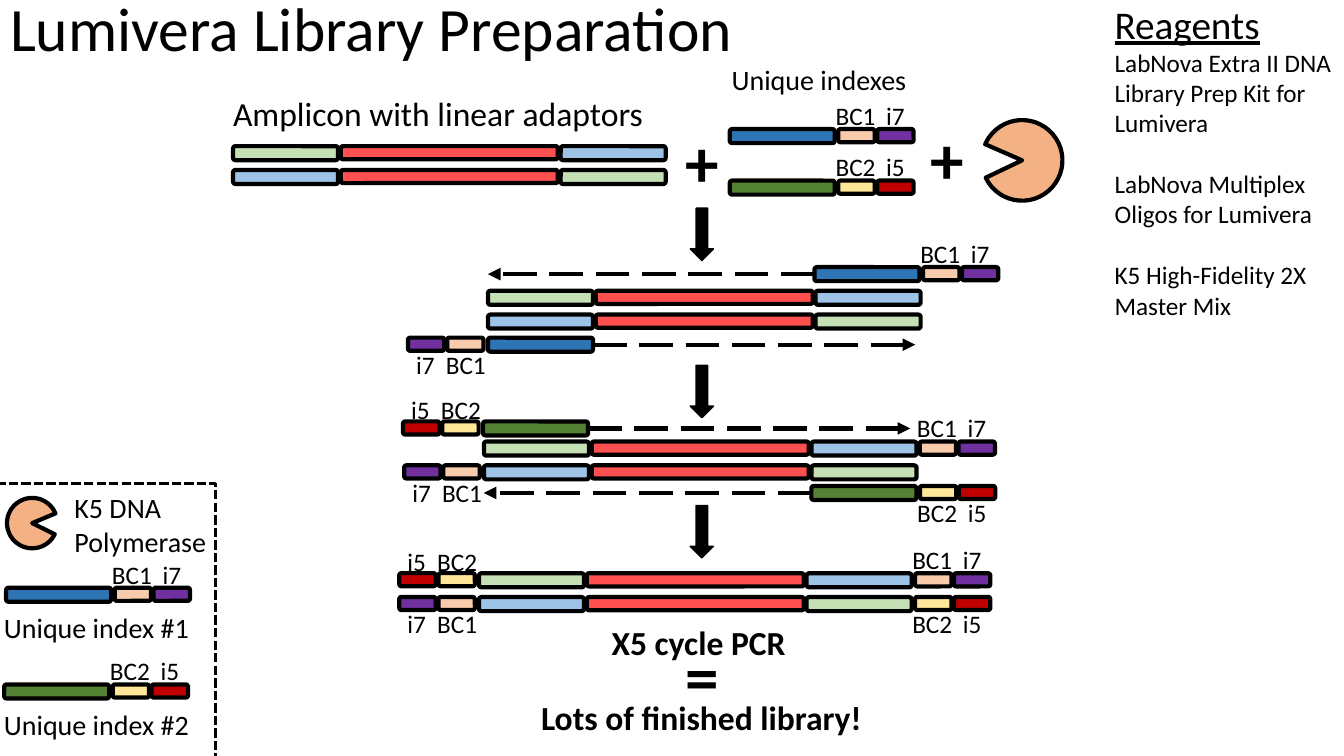
from lxml.etree import SubElement
from pptx import Presentation
from pptx.dml.color import RGBColor
from pptx.enum.dml import MSO_LINE
from pptx.enum.shapes import MSO_CONNECTOR, MSO_SHAPE
from pptx.enum.text import MSO_ANCHOR, MSO_AUTO_SIZE, PP_ALIGN
from pptx.oxml.ns import qn
from pptx.util import Pt

COLORS = {
    "black": "000000",
    "insert": "FF5050",
    "adaptor_green": "C5E0B4",
    "adaptor_blue": "9DC3E6",
    "polymerase": "F4B183",
}
# Each unique index: barcode and tail labels, then oligo, barcode and tail colours
INDEXES = {
    1: ("BC1", "i7", "2E75B6", "F8CBAD", "7030A0"),
    2: ("BC2", "i5", "548235", "FFE699", "C00000"),
}
FONT = "Calibri"
OLIGO_W, OLIGO_H = 75, 10
INSERT_W, BARCODE_W, BAR_H = 155, 26, 9.4
STRAND_GAP = 17


def add_run(paragraph, text, size, bold=False, underline=False):
    run = paragraph.add_run()
    run.text = text
    run.font.name = FONT
    run.font.size = Pt(size)
    run.font.bold = bold
    run.font.underline = underline
    run.font.color.rgb = RGBColor.from_string(COLORS["black"])


def add_label(slide, box, lines, size, bold=False, wrap=False):
    label = slide.shapes.add_textbox(*map(Pt, box))
    frame = label.text_frame
    frame.word_wrap = wrap
    frame.auto_size = MSO_AUTO_SIZE.SHAPE_TO_FIT_TEXT
    for number, line in enumerate(lines):
        paragraph = frame.add_paragraph() if number else frame.paragraphs[0]
        add_run(paragraph, line, size, bold)
    return frame


def add_block(slide, kind, box, fill=None, line_width=3):
    block = slide.shapes.add_shape(kind, *map(Pt, box))
    block.shadow.inherit = False
    if fill:
        block.fill.solid()
        block.fill.fore_color.rgb = RGBColor.from_string(fill)
    else:
        block.fill.background()
    block.line.color.rgb = RGBColor.from_string(COLORS["black"])
    block.line.width = Pt(line_width)
    return block


def add_segment(slide, x, y, width, height, fill):
    return add_block(slide, MSO_SHAPE.ROUNDED_RECTANGLE, (x, y, width, height), fill)


def add_amplicon(slide, x, y):
    """Two strands: adaptor, insert, adaptor, with the adaptors swapped below."""
    adaptors = [COLORS["adaptor_green"], COLORS["adaptor_blue"]]
    for strand, (left, right) in enumerate((adaptors, adaptors[::-1])):
        top = y + strand * STRAND_GAP
        add_segment(slide, x + 77, top, INSERT_W, BAR_H, COLORS["insert"])
        add_segment(slide, x, top, OLIGO_W, OLIGO_H, left)
        add_segment(slide, x + 234, top, OLIGO_W, OLIGO_H, right)


def add_index(slide, number, x, y, side="right", labels="above", with_oligo=True):
    """Barcode and tail on one side of an oligo whose left edge is x."""
    barcode, tail, oligo_fill, barcode_fill, tail_fill = INDEXES[number]
    if side == "right":
        barcode_x, tail_x, barcode_label_x, tail_label_x = 77.5, 105.3, 68.5, 104.6
    else:
        barcode_x, tail_x, barcode_label_x, tail_label_x = -29.2, -57.2, -37.2, -58.5
    label_y = y + (4.8 if labels == "below" else -24.2 if side == "right" else -23)
    oligo = None
    if with_oligo:
        oligo = add_segment(slide, x, y, OLIGO_W, OLIGO_H, oligo_fill)
    add_segment(slide, x + barcode_x, y, BARCODE_W, BAR_H, barcode_fill)
    add_segment(slide, x + tail_x, y, BARCODE_W, BAR_H, tail_fill)
    add_label(slide, (x + barcode_label_x, label_y, 43.2, 29), [barcode], 18)
    add_label(slide, (x + tail_label_x, label_y, 28.1, 29), [tail], 18)
    return oligo


def add_extension(slide, oligo, site, end_x):
    """Dashed arrow from a side of the oligo along the strand."""
    y = oligo.top + oligo.height // 2
    extension = slide.shapes.add_connector(MSO_CONNECTOR.STRAIGHT, oligo.left, y, Pt(end_x), y)
    extension.begin_connect(oligo, site)
    extension.line.color.rgb = RGBColor.from_string(COLORS["black"])
    extension.line.width = Pt(3)
    extension.line.dash_style = MSO_LINE.LONG_DASH
    properties = extension._element.spPr
    SubElement(properties.find(qn("a:ln")), qn("a:tailEnd"), type="triangle")
    SubElement(properties, qn("a:effectLst"))


def add_polymerase(slide, x, y, size, rotation):
    enzyme = add_block(slide, MSO_SHAPE.PIE, (x, y, size, size), COLORS["polymerase"])
    enzyme.adjustments[0] = 191.45
    enzyme.adjustments[1] = 162
    enzyme.rotation = rotation


def add_title(slide, text):
    title = slide.shapes.title
    title.left, title.top, title.width, title.height = map(Pt, (0, -5, 828, 104.4))
    frame = title.text_frame
    frame.auto_size = MSO_AUTO_SIZE.NONE
    frame.vertical_anchor = MSO_ANCHOR.TOP
    heading = frame.paragraphs[0]
    heading.alignment = PP_ALIGN.LEFT
    heading.line_spacing = 0.9
    add_run(heading, text, 44)


def add_reagents(slide):
    reagents = (
        "LabNova Extra II DNA Library Prep Kit for Lumivera",
        "LabNova Multiplex Oligos for Lumivera",
        "K5 High-Fidelity 2X Master Mix",
    )
    frame = add_label(slide, (789.1, -3.6, 172.8, 237.6), [], 18, wrap=True)
    add_run(frame.paragraphs[0], "Reagents", 28, underline=True)
    for number, reagent in enumerate(reagents):
        paragraph = frame.add_paragraph()
        paragraph.space_before = Pt(22 if number else 0)
        add_run(paragraph, reagent, 18)


def main():
    deck = Presentation()
    deck.slide_width, deck.slide_height = Pt(960), Pt(540)
    slide = deck.slides.add_slide(deck.slide_layouts[5])
    add_title(slide, "Lumivera Library Preparation")

    # Starting mix: amplicon + indexes + polymerase
    amplicon_heading = add_label(slide, (146.2, 62.6, 333.4, 36),
                                 ["Amplicon with linear adaptors"], 24, wrap=True)
    amplicon_heading.paragraphs[0].alignment = PP_ALIGN.CENTER
    add_amplicon(slide, 166.5, 104.4)
    add_label(slide, (515.5, 41, 140.4, 31.5), ["Unique indexes"], 20)
    add_index(slide, 1, 521.3, 92.2)
    add_index(slide, 2, 521.3, 129)
    add_polymerase(slide, 701.3, 85.7, 57.6, 244.5)
    for x, y, sign in ((482.4, 82.1, "+"), (657.4, 80.6, "+"), (482.4, 449.3, "=")):
        add_label(slide, (x, y, 38.9, 65.5), [sign], 48, bold=True)

    # Arrows between the stages
    for y in (159.1, 271.4, 371.5):
        step = add_block(slide, MSO_SHAPE.RIGHT_ARROW, (482.6, y, 37.4, 16.6),
                         COLORS["black"], 1)
        step.rotation = 90

    # First extension with index 1
    add_amplicon(slide, 348.6, 207.7)
    upper = add_index(slide, 1, 581.8, 190.8)
    lower = add_index(slide, 1, 348.6, 241.2, "left", "below")
    add_extension(slide, upper, 1, 348.5)
    add_extension(slide, lower, 3, 653.8)

    # Second extension with index 2
    add_amplicon(slide, 345.7, 315.4)
    add_index(slide, 1, 345.9, 332.4, "left", "below", with_oligo=False)
    add_index(slide, 1, 579.4, 315.4, with_oligo=False)
    lower = add_index(slide, 2, 579.6, 347.1, labels="below")
    upper = add_index(slide, 2, 345.1, 301, "left")
    add_extension(slide, lower, 1, 345.6)
    add_extension(slide, upper, 3, 650.2)

    # Finished library
    add_amplicon(slide, 342.2, 409.5)
    for number, y, side, labels in ((2, 409.4, "left", "above"), (1, 409.5, "right", "above"),
                                    (1, 426.4, "left", "below"), (2, 426.4, "right", "below")):
        add_index(slide, number, 342.4 if side == "left" else 576.1, y, side, labels,
                  with_oligo=False)
    add_label(slide, (429.8, 440.6, 139.7, 36), ["X5 cycle PCR"], 24, bold=True)
    add_label(slide, (379.4, 494.6, 246.2, 36), ["Lots of finished library!"], 24, bold=True)

    # Legend
    add_label(slide, (46.1, 347, 109.4, 55.4), ["K5 DNA", "Polymerase"], 20)
    add_polymerase(slide, 5, 355.7, 36, 67.3)
    for number, x, y in ((1, 4.4, 419.8), (2, 3, 488.9)):
        add_index(slide, number, x, y)
        add_label(slide, (-4.3, y + 13, 147.6, 31.5), [f"Unique index #{number}"], 20)
    legend_frame = add_block(slide, MSO_SHAPE.RECTANGLE, (-3.6, 345.6, 157.7, 198),
                             line_width=2.25)
    legend_frame.line.dash_style = MSO_LINE.SQUARE_DOT

    add_reagents(slide)
    deck.save("out.pptx")


if __name__ == "__main__":
    main()
